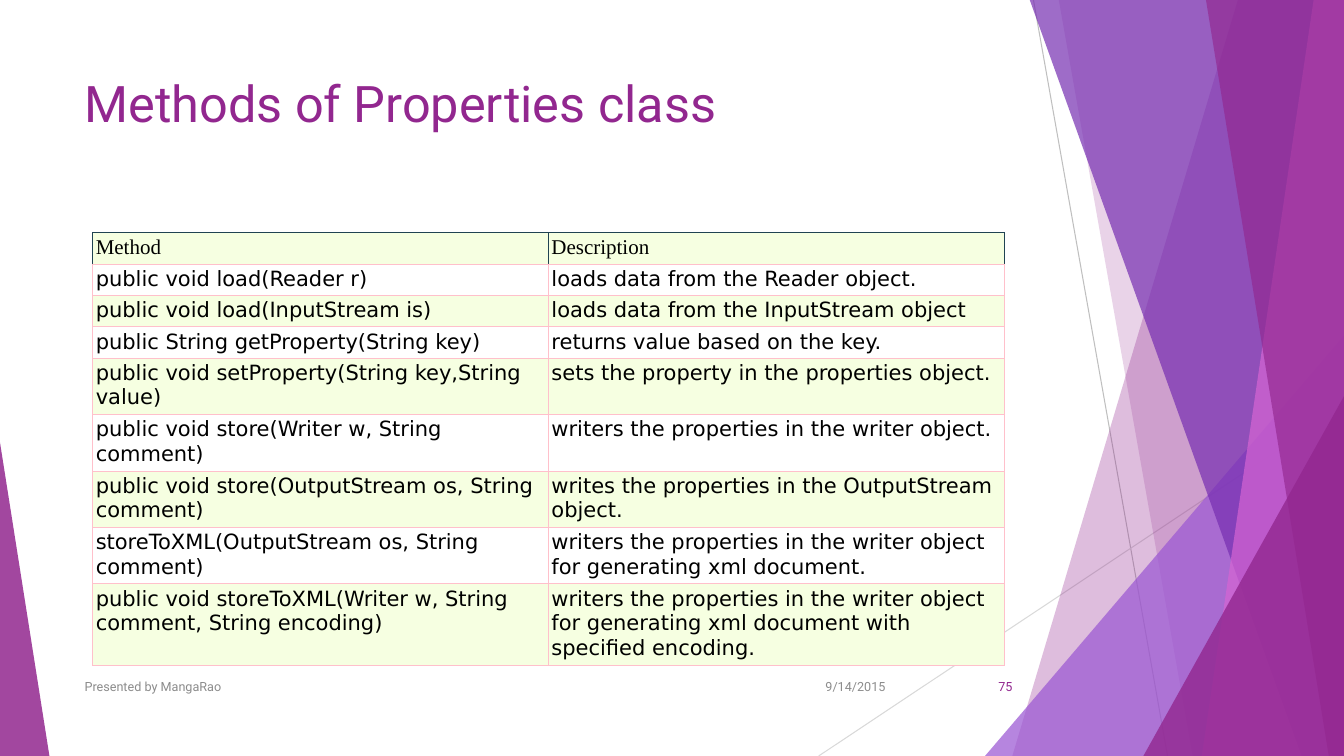
from lxml import etree
from pptx import Presentation
from pptx import util as u
from pptx.dml import color
from pptx.enum import shapes, text
from pptx.oxml import ns

WIDTH, HEIGHT = 13.33, 7.5
COLORS = {
    "purple": "92278F", "lilac": "9B57D3", "violet": "762EB1", "pink": "D665D3",
    "gray": "8C8C8C", "line": "BFBFBF", "pale_line": "D9D9D9",
    "black": "000000", "white": "FFFFFF", "band": "F6FFE1",
    "border": "FFC0CB", "head_border": "204352",
}
METHODS = [
    ("Method", "Description"),
    ("public void load(Reader r)", "loads data from the Reader object."),
    ("public void load(InputStream is)", "loads data from the InputStream object"),
    ("public String getProperty(String key)", "returns value based on the key."),
    ("public void setProperty(String key,String value)",
     "sets the property in the properties object."),
    ("public void store(Writer w, String comment)",
     "writers the properties in the writer object."),
    ("public void store(OutputStream os, String comment)",
     "writes the properties in the OutputStream object."),
    ("storeToXML(OutputStream os, String comment)",
     "writers the properties in the writer object for generating xml document."),
    ("public void storeToXML(Writer w, String comment, String encoding)",
     "writers the properties in the writer object for generating xml document "
     "with specified encoding."),
]
ROW_HEIGHTS = [0.31] * 4 + [0.55] * 4 + [0.8]


def rgb(name):
    return color.RGBColor.from_string(COLORS[name])


def add_line(s, start, end, name):
    line = s.shapes.add_connector(
        shapes.MSO_CONNECTOR.STRAIGHT, *[u.Inches(v) for v in start + end])
    line.line.color.rgb = rgb(name)
    line.line.width = u.Pt(0.75)
    etree.SubElement(line._element.spPr, ns.qn("a:effectLst"))


def paint(sp, name, opacity):
    sp.shadow.inherit = False
    sp.line.fill.background()
    sp.fill.solid()
    sp.fill.fore_color.rgb = rgb(name)
    srgb = sp._element.spPr.find(".//" + ns.qn("a:srgbClr"))
    etree.SubElement(srgb, ns.qn("a:alpha"), val=str(opacity * 1000))


def add_band(s, top_x, bottom_x, name, opacity):
    points = [(top_x, -0.01), (WIDTH, -0.01), (WIDTH, HEIGHT), (bottom_x, HEIGHT)]
    corners = [(u.Inches(x), u.Inches(y)) for x, y in points]
    builder = s.shapes.build_freeform(*corners[0])
    builder.add_line_segments(corners[1:], close=True)
    paint(builder.convert_to_shape(), name, opacity)


def add_triangle(s, left, top, width, apex, name, opacity):
    sp = s.shapes.add_shape(
        shapes.MSO_SHAPE.ISOSCELES_TRIANGLE, u.Inches(left), u.Inches(top),
        u.Inches(width), u.Inches(HEIGHT - top))
    sp.adjustments[0] = apex
    paint(sp, name, opacity)


def format_text(tf, size, font, name):
    for p in tf.paragraphs:
        for r in p.runs:
            r.font.size = u.Pt(size)
            r.font.name = font
            r.font.color.rgb = rgb(name)


def add_text(s, box, words, size, name, anchor=text.MSO_ANCHOR.MIDDLE,
             align=text.PP_ALIGN.LEFT):
    tf = s.shapes.add_textbox(*[u.Inches(v) for v in box]).text_frame
    tf.word_wrap = True
    tf.vertical_anchor = anchor
    tf.text = words
    tf.paragraphs[0].alignment = align
    format_text(tf, size, "Roboto", name)


def set_borders(cell, is_head):
    tc_pr = cell._tc.get_or_add_tcPr()
    for side in "LRTB":
        name = "head_border" if is_head and side != "B" else "border"
        ln = etree.SubElement(tc_pr, ns.qn("a:ln" + side), w=str(u.Pt(0.6)))
        fill = etree.SubElement(ln, ns.qn("a:solidFill"))
        etree.SubElement(fill, ns.qn("a:srgbClr"), val=COLORS[name])


def fill_cell(cell, words, row):
    cell.margin_left = cell.margin_right = u.Inches(0.03)
    cell.margin_top = cell.margin_bottom = u.Inches(0.03)
    set_borders(cell, row == 0)
    cell.fill.solid()
    cell.fill.fore_color.rgb = rgb("white" if row % 2 else "band")
    cell.text_frame.text = words
    font = "DejaVu Sans" if row else "Times New Roman"
    format_text(cell.text_frame, 15, font, "black")


def add_methods_table(s):
    table = s.shapes.add_table(
        len(METHODS), 2, u.Inches(0.92), u.Inches(2.31),
        u.Inches(9.04), u.Inches(sum(ROW_HEIGHTS))).table
    table.first_row = table.horz_banding = False
    for row, (entry, height) in enumerate(zip(METHODS, ROW_HEIGHTS)):
        table.rows[row].height = u.Inches(height)
        for col, words in enumerate(entry):
            fill_cell(table.cell(row, col), words, row)


def add_backdrop(s):
    add_line(s, (10.25, 0), (11.58, HEIGHT), "line")
    add_line(s, (WIDTH, 4.03), (8.12, HEIGHT), "pale_line")
    add_band(s, 12.28, 10.04, "purple", 30)
    add_band(s, 10.5, 11.83, "purple", 20)
    add_triangle(s, 9.77, 3.33, 3.56, 1, "lilac", 72)
    add_band(s, 10.21, 12.91, "violet", 70)
    add_band(s, 13.03, 11.92, "pink", 70)
    add_band(s, 11.96, 13.18, "purple", 65)
    add_triangle(s, 11.34, 3.93, 1.99, 1, "purple", 80)
    add_triangle(s, 0, 4.39, 0.49, 0, "purple", 85)


def main():
    prs = Presentation()
    prs.slide_width, prs.slide_height = u.Inches(WIDTH), u.Inches(HEIGHT)
    s = prs.slides.add_slide(prs.slide_layouts[6])
    add_backdrop(s)
    add_text(s, (0.74, 0.67, 9.4, 1.44), "Methods of Properties class", 36,
             "purple", anchor=text.MSO_ANCHOR.TOP)
    add_methods_table(s)
    right = text.PP_ALIGN.RIGHT
    add_text(s, (7.88, 6.61, 1, 0.4), "9/14/2015", 9, "gray", align=right)
    add_text(s, (0.74, 6.61, 6.89, 0.4), "Presented by MangaRao", 9, "gray")
    add_text(s, (9.39, 6.61, 0.75, 0.4), "75", 9, "purple", align=right)
    prs.save("out.pptx")


if __name__ == "__main__":
    main()
